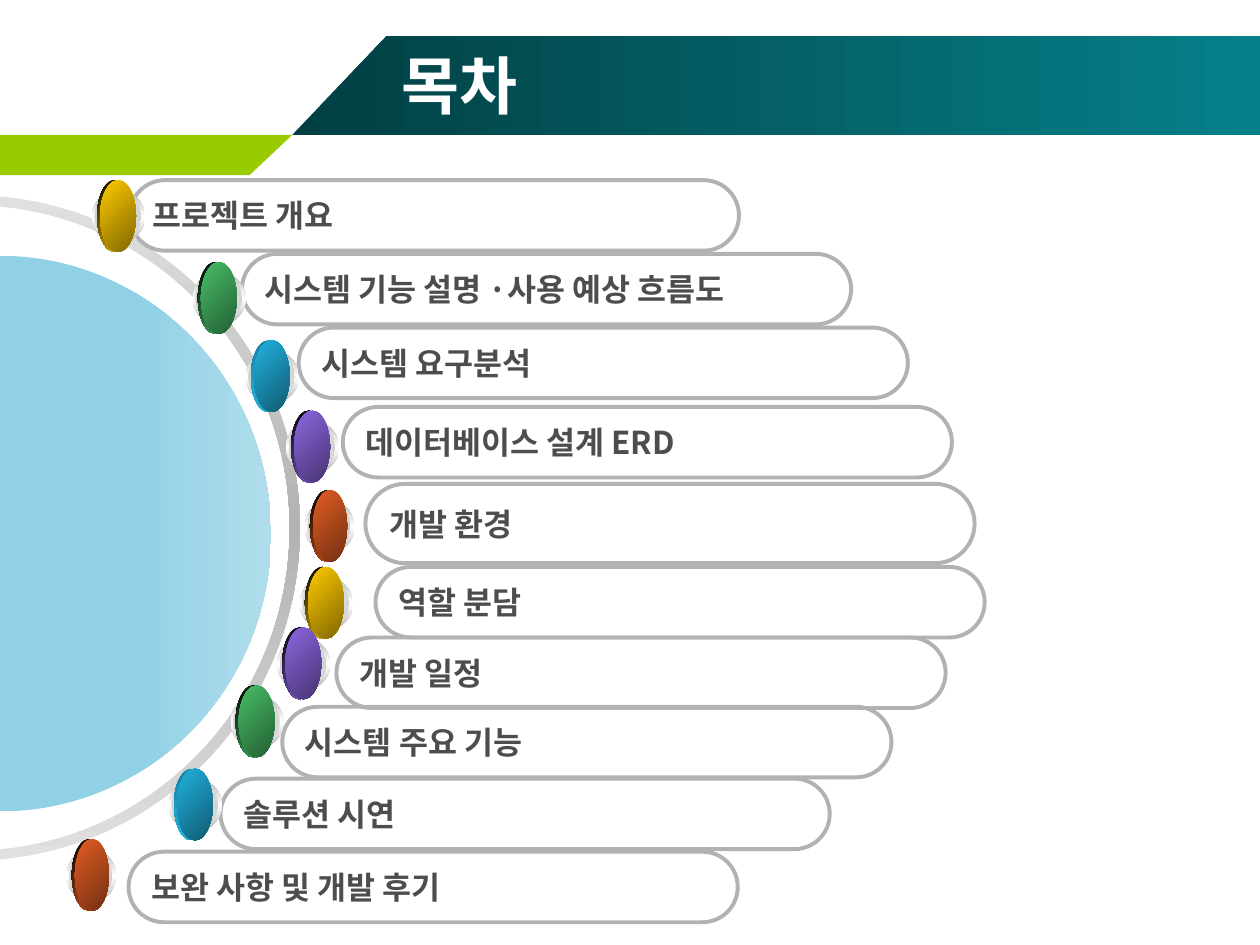
from lxml.etree import SubElement
from pptx import Presentation
from pptx.dml.color import RGBColor as RGB
from pptx.enum.shapes import MSO_SHAPE as SHAPE
from pptx.enum.text import MSO_ANCHOR as ANCHOR, PP_ALIGN as ALIGN
from pptx.oxml.ns import qn
from pptx.util import Inches, Pt

FONT = "Noto Sans CJK KR"
C = {
    "white": "FFFFFF", "text": "4D4D4D", "line": "B2B2B2",
    "band_dark": "023F43", "band": "058089", "lime": "99CC00",
    "ring_light": "E0E0E0", "disc": "90D1E6", "disc_light": "B0DDEB",
    "rim": "B6B6B6", "rim_light": "D1D1D1",
}
# Each orb: shade of the back edge, face colour, face shade
ORBS = {
    "yellow": ("000000", "FFCC00", "806600"),
    "green": ("000000", "48BE67", "245F34"),
    "blue": ("1880A1", "21B3E1", "115A71"),
    "purple": ("000000", "8D67E1", "473471"),
    "orange": ("000000", "E35E23", "722F12"),
}


def paint(sp, colors, angle=0):
    """Fill without outline: one colour is solid, more are evenly spaced gradient stops."""
    sp.shadow.inherit = False
    sp.line.fill.background()
    if len(colors) == 1:
        sp.fill.solid()
        sp.fill.fore_color.rgb = RGB.from_string(colors[0])
        return
    sp.fill.gradient()
    sp.fill.gradient_angle = (360 - angle) % 360
    stops = sp._element.spPr.find(qn("a:gradFill")).find(qn("a:gsLst"))
    stops.clear()
    for i, color in enumerate(colors):
        gs = SubElement(stops, qn("a:gs"), pos=str(100000 * i // (len(colors) - 1)))
        SubElement(gs, qn("a:srgbClr"), val=color)


def write(tf, text, size=18, color=C["text"], bold=True):
    tf.word_wrap = True
    tf.vertical_anchor = ANCHOR.MIDDLE
    p = tf.paragraphs[0]
    p.alignment = ALIGN.LEFT
    r = p.add_run()
    r.text = text
    r.font.size, r.font.bold, r.font.name = Pt(size), bold, FONT
    r.font.color.rgb = RGB.from_string(color)
    SubElement(r._r.get_or_add_rPr(), qn("a:ea"), typeface=FONT)


prs = Presentation()
prs.slide_width, prs.slide_height = Inches(10), Inches(7.5)
U = prs.slide_width // 100  # grid of 100 columns by 75 rows
s = prs.slides.add_slide(prs.slide_layouts[5])

# Header bands, ring and disc: points, indexes where a curve begins, colours, angle
outlines = [
    ([(23.2, 10.7), (100, 10.7), (100, 2.85), (30.7, 2.85)], [],
     [C["band_dark"], C["band"]], 0),
    ([(0, 10.7), (23.2, 10.7), (19.8, 13.9), (0, 13.9)], [], [C["lime"]], 0),
    ([(-1.9, 16.3), (11.9, 16.5), (23, 27.9), (23, 41.9),
      (23, 55.9), (11.9, 67.3), (-1.9, 67.5), (-1.9, 68.3),
      (12.4, 68.1), (23.8, 56.3), (23.8, 41.9),
      (23.8, 27.5), (12.4, 15.7), (-1.9, 15.5)], [1, 4, 8, 11],
     [C["ring_light"], C["line"], C["ring_light"]], 90),
    ([(0, 20.3), (11.9, 20.3), (21.5, 30.2), (21.5, 42.4),
      (21.5, 54.6), (11.9, 64.4), (0, 64.4)], [1, 4],
     [C["disc"], C["disc"], C["disc_light"]], 0),
]
for points, curves, colors, angle in outlines:
    (x0, y0), *rest = [(round(x * U), round(y * U)) for x, y in points]
    builder = s.shapes.build_freeform(x0, y0, scale=1.0)
    builder.add_line_segments(rest, close=True)
    sp = builder.convert_to_shape()
    steps = list(next(sp._element.iter(qn("a:path"))))
    for i in curves:  # three line points become one Bézier curve
        curve = SubElement(steps[i].getparent(), qn("a:cubicBezTo"))
        steps[i].addprevious(curve)
        for step in steps[i:i + 3]:
            curve.append(step[0])
            step.getparent().remove(step)
    paint(sp, colors, angle)

title = s.shapes.title
title.left, title.top, title.width, title.height = [round(v * U) for v in (30.85, 3.6, 66.7, 6.2)]
write(title.text_frame, "목차", size=36, color=C["white"])
s.shapes._spTree.append(title._element)  # bring in front of the band

# Contents: text, pill left/top/height, orb left/top, orb colour
items = [
    ("프로젝트 개요", 10.3, 14.3, 5.6, 7.3, 15.1, "yellow"),
    ("시스템 기능 설명 ·사용 예상 흐름도", 19.2, 20.15, 5.6, 15.3, 21.6, "green"),
    ("시스템 요구분석", 23.7, 26, 5.6, 19.5, 27.8, "blue"),
    ("데이터베이스 설계 ERD", 27.2, 32.3, 5.6, 22.7, 33.4, "purple"),
    ("개발 환경", 29, 38.4, 6.3, 24.2, 39.7, "orange"),
    ("역할 분담", 29.8, 45, 5.6, 23.8, 45.8, "yellow"),
    ("개발 일정", 26.7, 50.6, 5.6, 22, 50.6, "purple"),
    ("시스템 주요 기능", 22.4, 56.1, 5.6, 18.3, 55.2, "green"),
    ("솔루션 시연", 17.5, 61.8, 5.6, 13.4, 61.8, "blue"),
    ("보완 사항 및 개발 후기", 10.2, 67.6, 5.6, 5.3, 67.4, "orange"),
]
for text, left, top, height, *_ in items:
    pill = s.shapes.add_shape(SHAPE.ROUNDED_RECTANGLE,
                              *[round(v * U) for v in (left, top, 48.35, height)])
    pill.adjustments[0] = 0.5
    pill.shadow.inherit = False
    pill.fill.background()
    pill.line.color.rgb = RGB.from_string(C["line"])
    pill.line.width = Pt(2.25)
    write(pill.text_frame, text)

for *_, left, top, name in items:
    edge, face, shade = ORBS[name]
    trim = 0.3 if name == "orange" else 0  # orange orbs are slightly narrower
    layers = [
        (0, 0, 4.2 - trim, 4.2, [C["rim"], C["white"], C["rim"]], 90),
        (0.2, 0.25, 3.7 - trim, 3.7, [C["rim_light"], C["white"], C["rim_light"]], 0),
        (0.4, -0.8, 2.8, 5.7, [edge, face], 90 if name == "blue" else 45),
        (0.65, -0.8, 2.85 - trim / 2, 5.7, [face, shade], 45),
    ]
    orb = s.shapes.add_group_shape()
    for dx, dy, w, h, colors, angle in layers:
        sp = orb.shapes.add_shape(SHAPE.OVAL,
                                  *[round(v * U) for v in (left + dx, top + dy, w, h)])
        paint(sp, colors, angle)

prs.save("out.pptx")
